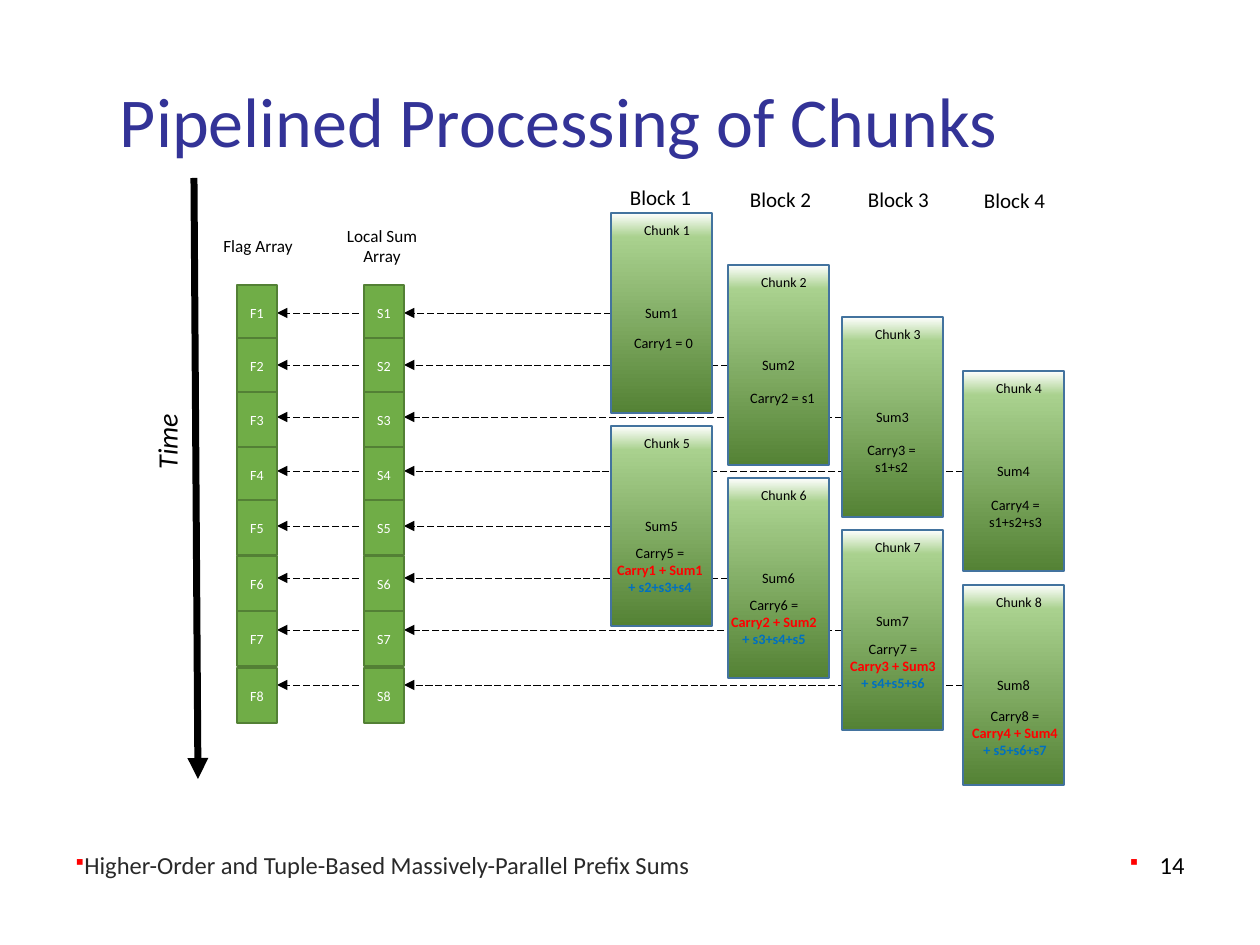
from dataclasses import dataclass

from pptx import Presentation, util as u
from pptx.dml.color import RGBColor
from pptx.enum import dml, shapes, text
from pptx.oxml import parse_xml
from pptx.oxml.ns import nsdecls

PX = u.Inches(1) // 126


@dataclass(frozen=True)
class Theme:
    font: str = "Calibri"
    title: str = "333397"
    ink: str = "000000"
    footer: str = "292929"
    red: str = "FF0000"
    blue: str = "0070C0"
    white: str = "FFFFFF"
    cell: str = "70AD47"
    cell_line: str = "538035"
    chunk_line: str = "43739E"
    chunk_stops: tuple = ((0, "FFFFFF"), (12, "A9D18E"), (100, "548235"))
    title_size: float = 40
    time_size: float = 16
    footer_size: float = 14
    block_size: float = 12
    array_size: float = 9.8
    body_size: float = 8.2
    cell_size: float = 8
    chunk_size: float = 7.9


def px(*values):
    return [v * PX for v in values]


def xml(markup):
    head, rest = markup.split(" ", 1)
    return parse_xml(f"{head} {nsdecls('a')} {rest}")


class Deck:
    def __init__(self, theme):
        self.theme = theme
        self.prs = Presentation()
        self.prs.slide_width, self.prs.slide_height = px(1260, 945)
        self.s = self.prs.slides.add_slide(self.prs.slide_layouts[5])

    def style(self, p, size, color, align=text.PP_ALIGN.CENTER):
        p.alignment = align
        for r in p.runs:
            r.font.name = self.theme.font
            r.font.size = u.Pt(size)
            r.font.color.rgb = RGBColor.from_string(color)

    def title(self, words, box):
        sp = self.s.shapes.title
        sp.left, sp.top, sp.width, sp.height = px(*box)
        tf = sp.text_frame
        tf.text = words
        tf.margin_left = 57 * PX
        tf.vertical_anchor = text.MSO_ANCHOR.MIDDLE
        self.style(tf.paragraphs[0], self.theme.title_size, self.theme.title, text.PP_ALIGN.LEFT)

    def label(self, words, box, size, wrap=True):
        sp = self.s.shapes.add_textbox(*px(*box))
        tf = sp.text_frame
        tf.word_wrap = wrap
        tf.text = words
        self.style(tf.paragraphs[0], size, self.theme.ink)
        return sp

    def carry(self, start, accents, box):
        p = self.label(start, box, self.theme.body_size).text_frame.paragraphs[0]
        for words, color in accents:
            r = p.add_run()
            r.text = words
            r.font.name = self.theme.font
            r.font.size = u.Pt(self.theme.body_size)
            r.font.bold = True
            r.font.color.rgb = RGBColor.from_string(color)

    def footer(self, words, box, color, align, hang=0):
        sp = self.s.shapes.add_textbox(*px(*box))
        tf = sp.text_frame
        tf.word_wrap = True
        tf.vertical_anchor = text.MSO_ANCHOR.BOTTOM
        tf.text = words
        p = tf.paragraphs[0]
        pPr = p._p.get_or_add_pPr()
        pPr.set("marL", str(hang * PX))
        pPr.set("indent", str(-hang * PX))
        pPr.append(xml(f'<a:buClr ><a:srgbClr val="{self.theme.red}"/></a:buClr>'))
        pPr.append(xml('<a:buSzPct val="80000"/>'))
        pPr.append(xml('<a:buFont typeface="Wingdings"/>'))
        pPr.append(xml('<a:buChar char="§"/>'))
        self.style(p, self.theme.footer_size, color, align)

    def box(self, words, box, size, color, line):
        sp = self.s.shapes.add_shape(shapes.MSO_SHAPE.RECTANGLE, *px(*box))
        sp.shadow.inherit = False
        sp.line.color.rgb = RGBColor.from_string(line)
        sp.line.width = u.Pt(1)
        tf = sp.text_frame
        tf.word_wrap = False
        tf.vertical_anchor = text.MSO_ANCHOR.MIDDLE
        tf.text = words
        self.style(tf.paragraphs[0], size, color)
        return sp

    def cell(self, words, box):
        t = self.theme
        sp = self.box(words, box, t.cell_size, t.white, t.cell_line)
        sp.fill.solid()
        sp.fill.fore_color.rgb = RGBColor.from_string(t.cell)

    def chunk(self, words, box):
        t = self.theme
        sp = self.box(words, box, t.body_size, t.ink, t.chunk_line)
        stops = "".join(
            f'<a:gs pos="{pos * 1000}"><a:srgbClr val="{c}"/></a:gs>' for pos, c in t.chunk_stops
        )
        sp._element.spPr.insert(2, xml(
            f'<a:gradFill rotWithShape="1"><a:gsLst>{stops}</a:gsLst>'
            '<a:lin ang="5400000" scaled="0"/></a:gradFill>'
        ))
        return sp

    def arrow(self, start, end, width, dash=None):
        cx = self.s.shapes.add_connector(shapes.MSO_CONNECTOR.STRAIGHT, *px(*start, *end))
        cx.line.color.rgb = RGBColor.from_string(self.theme.ink)
        cx.line.width = u.Pt(width)
        if dash:
            cx.line.dash_style = dash
        cx.line._get_or_add_ln().append(xml('<a:tailEnd type="triangle"/>'))
        cx._element.spPr.append(xml("<a:effectLst />"))


def carry_parts(k, theme):
    if k <= 4:
        sums = "+".join(f"s{i}" for i in range(1, k)) or "0"
        return f"Carry{k} = {sums}", []
    sums = "+".join(f"s{i}" for i in range(k - 3, k))
    return f"Carry{k} = ", [(f"Carry{k - 4} + Sum{k - 4} ", theme.red), (f"+ {sums}", theme.blue)]


def main():
    t = Theme()
    d = Deck(t)
    dash = dml.MSO_LINE.LONG_DASH
    columns = [611, 728, 842, 963]
    chunk_tops = [213, 265, 317, 371, 426, 478, 530, 585]
    chunk_w, chunk_h = 101, 200
    cell_tops = [285, 338, 392, 447, 500, 556, 611, 668]
    carry_boxes = [
        (611, 328, 105, 30), (730, 383, 105, 30), (839, 435, 105, 48), (958, 490, 115, 48),
        (604, 538, 112, 66), (718, 590, 112, 66), (837, 634, 112, 66), (959, 701, 112, 66),
    ]
    chunks = [(k, columns[(k - 1) % 4], top) for k, top in enumerate(chunk_tops, 1)]

    d.title("Pipelined Processing of Chunks", (63, 76, 1134, 88))
    d.footer("Higher-Order and Tuple-Based Massively-Parallel Prefix Sums",
             (63, 823, 756, 63), t.footer, text.PP_ALIGN.LEFT)
    d.footer("14", (935, 823, 262, 63), t.ink, text.PP_ALIGN.RIGHT, hang=30)

    for k, left, top in chunks:
        y = top + chunk_h // 2
        d.arrow((left, y), (404, y), 0.5, dash)
        d.arrow((359, y), (277, y), 0.5, dash)

    for k, left, top in chunks:
        sp = d.chunk(f"Sum{k}", (left, top, chunk_w, chunk_h))
        if k == 7:
            sp.text_frame.margin_bottom = 24 * PX
        d.label(f"Chunk {k}", (left + 20, top + 2, 72, 29), t.chunk_size, wrap=False)

    for (k, left, top), box in zip(chunks, carry_boxes):
        d.carry(*carry_parts(k, t), box)

    for n, (left, top) in enumerate([(617, 178), (737, 180), (855, 180), (971, 181)], 1):
        d.label(f"Block {n}", (left, top, 87, 38), t.block_size, wrap=False)

    d.label("Flag Array", (199, 229, 118, 34), t.array_size)
    d.label("Local Sum Array", (323, 219, 118, 54), t.array_size)
    for prefix, left in (("F", 237), ("S", 364)):
        for n, top in enumerate(cell_tops, 1):
            d.cell(f"{prefix}{n}", (left, top, 40, 55))

    d.arrow((194, 178), (198, 779), 4)
    time = d.label("Time", (126, 418, 82, 47), t.time_size, wrap=False)
    time.rotation = 270
    time.text_frame.paragraphs[0].runs[0].font.italic = True

    d.prs.save("out.pptx")


if __name__ == "__main__":
    main()
